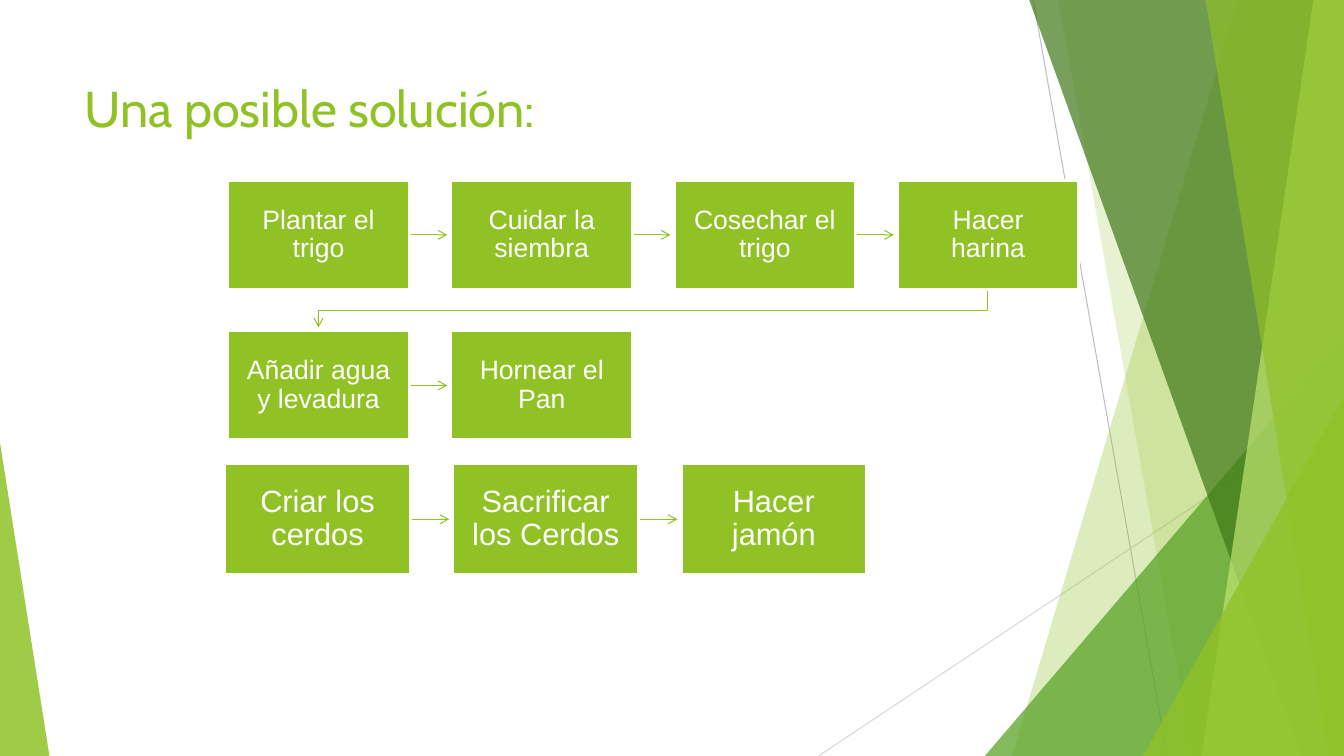
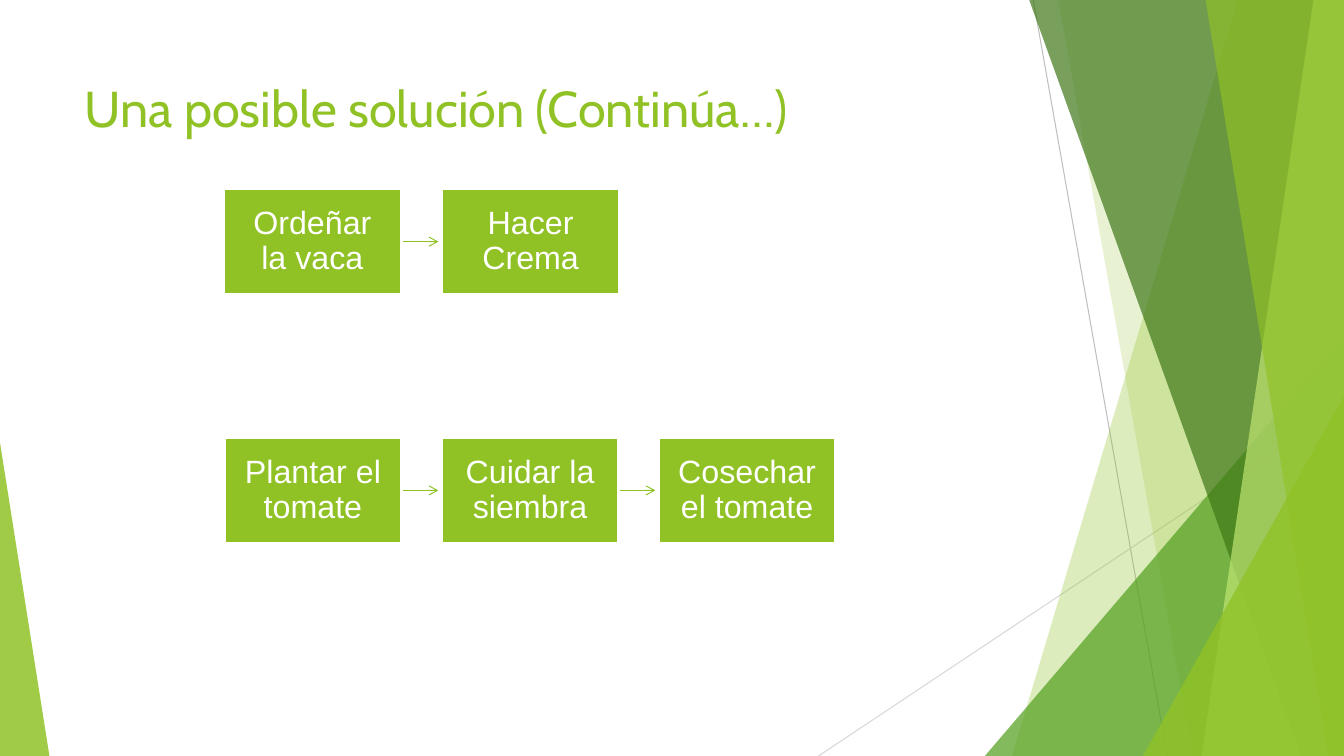
from lxml import etree
from pptx import Presentation
from pptx.dml.color import RGBColor
from pptx.enum.shapes import MSO_CONNECTOR, MSO_SHAPE
from pptx.enum.text import MSO_ANCHOR, MSO_AUTO_SIZE, PP_ALIGN
from pptx.oxml.ns import qn
from pptx.util import Inches, Pt

STRAIGHT = MSO_CONNECTOR.STRAIGHT
RECTANGLE = MSO_SHAPE.RECTANGLE
TRIANGLE = MSO_SHAPE.ISOSCELES_TRIANGLE
TOP, MIDDLE = MSO_ANCHOR.TOP, MSO_ANCHOR.MIDDLE
LEFT, CENTER = PP_ALIGN.LEFT, PP_ALIGN.CENTER
NO_AUTOFIT = MSO_AUTO_SIZE.NONE

WIDTH, HEIGHT = Inches(13.33), Inches(7.5)
TITLE_ONLY = 5
STEP_RATIO = 0.6
GAP_RATIO = 0.23
ARROW_RATIO = 0.21

COLORS = {
    "lime": "90C226",
    "green": "54A021",
    "forest": "3F7818",
    "pale": "BFE471",
    "white": "FFFFFF",
    "gray": "BFBFBF",
    "silver": "D8D8D8",
}


def rgb(color):
    return RGBColor.from_string(COLORS[color])


def across(percent):
    return round(WIDTH * percent / 100)


def down(percent):
    return round(HEIGHT * percent / 100)


def write(frame, text, *, size, font, color, align=LEFT, anchor=TOP, inset=0.1, spacing=1.0):
    frame.word_wrap = True
    frame.auto_size = NO_AUTOFIT
    frame.vertical_anchor = anchor
    frame.margin_left = frame.margin_right = Inches(inset)
    frame.margin_top = frame.margin_bottom = Inches(inset)
    paragraph = frame.paragraphs[0]
    paragraph.alignment = align
    paragraph.line_spacing = spacing
    run = paragraph.add_run()
    run.text = text
    run.font.size = Pt(size)
    run.font.name = font
    run.font.color.rgb = rgb(color)


def stroke(shape, color, width=0.75, arrow=False):
    shape.line.color.rgb = rgb(color)
    shape.line.width = Pt(width)
    if arrow:
        outline = shape.element.spPr.find(qn("a:ln"))
        etree.SubElement(outline, qn("a:tailEnd"), type="arrow")


def tint(shape, color, opacity):
    shape.shadow.inherit = False
    shape.fill.solid()
    shape.fill.fore_color.rgb = rgb(color)
    tone = shape.element.spPr.find(".//" + qn("a:srgbClr"))
    etree.SubElement(tone, qn("a:alpha"), val=str(opacity * 1000))
    shape.line.fill.background()
    return shape


def add_line(slide, start, end, color, arrow=False):
    line = slide.shapes.add_connector(STRAIGHT, *start, *end)
    stroke(line, color, arrow=arrow)
    etree.SubElement(line.element.spPr, qn("a:effectLst"))
    return line


def add_outline(slide, points, close):
    builder = slide.shapes.build_freeform(*points[0])
    builder.add_line_segments(points[1:], close=close)
    outline = builder.convert_to_shape()
    outline.shadow.inherit = False
    return outline


def add_band(slide, top_left, bottom_left, color, opacity):
    corners = [
        (across(top_left), 0),
        (WIDTH, 0),
        (WIDTH, HEIGHT),
        (across(bottom_left), HEIGHT),
    ]
    return tint(add_outline(slide, corners, True), color, opacity)


def add_wedge(slide, left, right, top, apex, color, opacity):
    wedge = slide.shapes.add_shape(
        TRIANGLE, across(left), down(top), across(right - left), down(100 - top)
    )
    wedge.adjustments[0] = apex
    return tint(wedge, color, opacity)


def decorate_layout(layout, slide):
    for placeholder in list(layout.placeholders)[1:]:
        layout.shapes.element.remove(placeholder.element)
    facets = [
        add_line(slide, (across(76.88), 0), (across(86.85), HEIGHT), "gray"),
        add_line(slide, (WIDTH, down(53.73)), (across(60.9), HEIGHT), "silver"),
        add_band(slide, 92.1, 75.3, "lime", 30),
        add_band(slide, 78.75, 88.73, "lime", 20),
        add_wedge(slide, 73.28, 100, 44.4, 1, "green", 72),
        add_band(slide, 76.58, 96.83, "forest", 70),
        add_band(slide, 97.73, 89.4, "pale", 70),
        add_band(slide, 89.7, 98.85, "lime", 65),
        add_wedge(slide, 85.05, 100, 52.4, 1, "lime", 80),
        add_wedge(slide, 0, 3.68, 58.53, 0, "lime", 85),
    ]
    for position, facet in enumerate(facets, start=2):
        layout.shapes.element.insert(position, facet.element)


def set_title(slide, text):
    title = slide.shapes.title
    title.left, title.top = across(5.55), down(8.93)
    title.width, title.height = across(69.15), down(11.47)
    write(title.text_frame, text, size=36, font="Cabin", color="lime")


def add_step(slide, text, left, top, width, height, size, inset):
    step = slide.shapes.add_shape(RECTANGLE, left, top, width, height)
    step.shadow.inherit = False
    step.fill.solid()
    step.fill.fore_color.rgb = rgb("lime")
    stroke(step, "white", 2)
    write(step.text_frame, text, size=size, font="Arial", color="white",
          align=CENTER, anchor=MIDDLE, inset=inset, spacing=0.9)


def add_return_arrow(slide, start_x, end_x, top, gap, reach):
    turn = top + gap // 2
    points = [(start_x, top), (start_x, turn), (end_x, turn), (end_x, top + reach)]
    route = add_outline(slide, points, False)
    route.fill.background()
    stroke(route, "lime", arrow=True)


def add_process(slide, steps, left, top, width, size, inset, columns=4):
    left, top, width = across(left), down(top), across(width)
    height, gap, reach = (
        round(width * ratio) for ratio in (STEP_RATIO, GAP_RATIO, ARROW_RATIO)
    )
    for index, text in enumerate(steps):
        row, column = divmod(index, columns)
        x = left + column * (width + gap)
        y = top + row * (height + gap)
        if index < len(steps) - 1:
            if column < columns - 1:
                middle = y + height // 2
                add_line(slide, (x + width, middle), (x + width + reach, middle),
                         "lime", arrow=True)
            else:
                add_return_arrow(slide, x + width // 2, left + width // 2,
                                 y + height, gap, reach)
        add_step(slide, text, x, y, width, height, size, inset)


def main():
    deck = Presentation()
    deck.slide_width, deck.slide_height = WIDTH, HEIGHT
    layout = deck.slide_layouts[TITLE_ONLY]

    solution = deck.slides.add_slide(layout)
    decorate_layout(layout, solution)
    set_title(solution, "Una posible solución:")
    bread = ["Plantar el trigo", "Cuidar la siembra", "Cosechar el trigo",
             "Hacer harina", "Añadir agua y levadura", "Hornear el Pan"]
    ham = ["Criar los cerdos", "Sacrificar los Cerdos", "Hacer jamón"]
    add_process(solution, bread, 16.95, 23.87, 13.5, 19, 0.15)
    add_process(solution, ham, 16.73, 61.33, 13.8, 22, 0.17)

    continuation = deck.slides.add_slide(layout)
    set_title(continuation, "Una posible solución (Continúa…)")
    cream = ["Ordeñar la vaca", "Hacer Crema"]
    tomato = ["Plantar el tomate", "Cuidar la siembra", "Cosechar el tomate"]
    add_process(continuation, cream, 16.65, 24.93, 13.2, 23, 0.18)
    add_process(continuation, tomato, 16.73, 57.87, 13.13, 23, 0.18)

    deck.save("out.pptx")


main()
